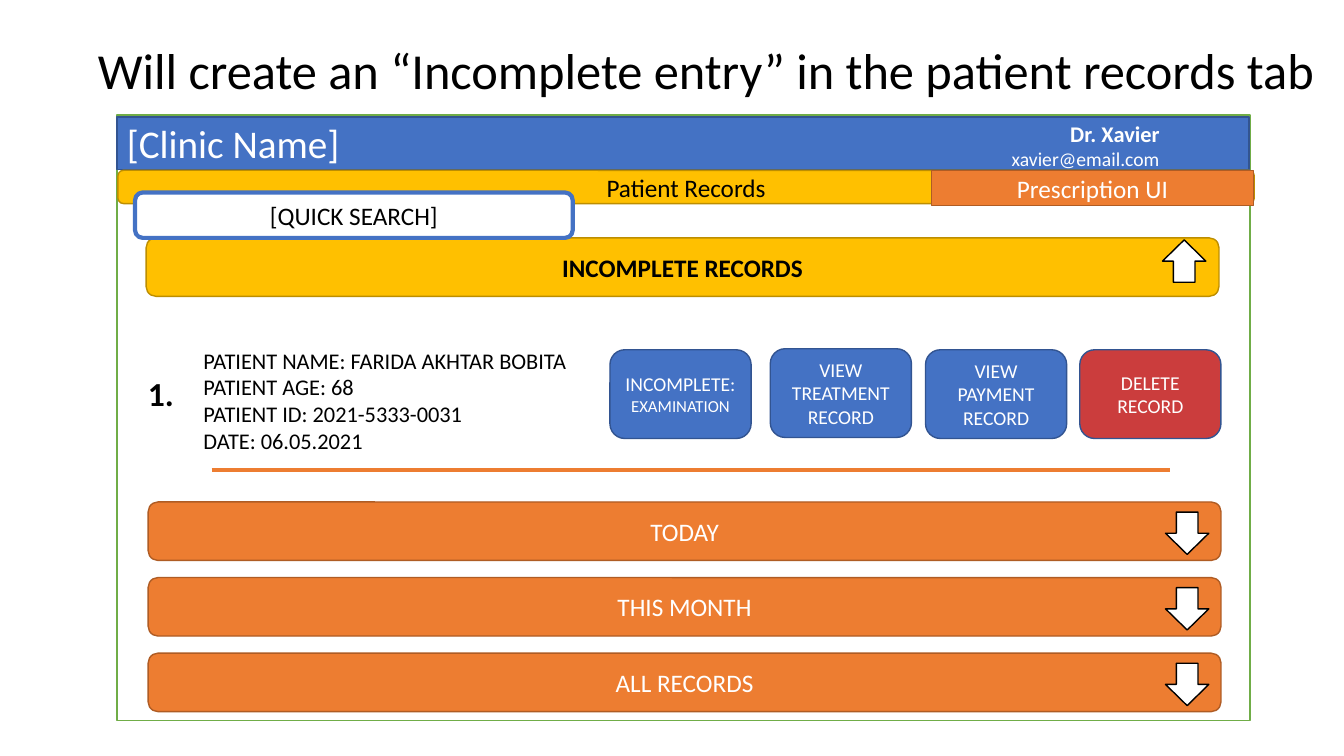
from lxml import etree
from pptx import Presentation
from pptx.dml.color import RGBColor
from pptx.enum.shapes import MSO_CONNECTOR, MSO_SHAPE
from pptx.enum.text import MSO_ANCHOR, MSO_AUTO_SIZE, PP_ALIGN
from pptx.oxml.ns import qn
from pptx.util import Emu, Pt

RECT, ROUND, ARROW = MSO_SHAPE.RECTANGLE, MSO_SHAPE.ROUNDED_RECTANGLE, MSO_SHAPE.DOWN_ARROW
STRAIGHT = MSO_CONNECTOR.STRAIGHT
TOP, MIDDLE = MSO_ANCHOR.TOP, MSO_ANCHOR.MIDDLE
FIXED = MSO_AUTO_SIZE.NONE
LEFT, CENTER, RIGHT = PP_ALIGN.LEFT, PP_ALIGN.CENTER, PP_ALIGN.RIGHT

EMU_PER_PX = 9144  # 100 px to the inch
FONT = "Calibri"
WHITE, BLACK = "FFFFFF", "000000"
BLUE, DARK_BLUE = "4472C4", "325491"
ORANGE, DARK_ORANGE = "ED7D31", "AF5C24"
YELLOW, DARK_YELLOW = "FFC000", "BD8E00"
GREEN, RED = "70AD47", "CB3D3D"


def px(length):
    return Emu(length * EMU_PER_PX)


def color(value):
    return RGBColor.from_string(value)


def style(font, size, ink, bold=False):
    font.name = FONT
    font.size = Pt(size)
    font.bold = bold
    font.color.rgb = color(ink)


def write(frame, text, size, ink, align=CENTER, anchor=MIDDLE, bold=False):
    """Fill a frame, one paragraph for each line of the text."""
    frame.word_wrap = True
    frame.auto_size = FIXED
    frame.vertical_anchor = anchor
    frame.text = text
    for para in frame.paragraphs:
        para.alignment = align
        for span in para.runs:
            style(span.font, size, ink, bold)


def add_box(page, kind, bounds, fill, line=None, line_width=1):
    box = page.shapes.add_shape(kind, *map(px, bounds))
    box.shadow.inherit = False
    box.fill.solid()
    box.fill.fore_color.rgb = color(fill)
    if line:
        box.line.color.rgb = color(line)
        box.line.width = Pt(line_width)
    else:
        box.line.fill.background()
    return box


def add_label(page, bounds, text, size, ink, align=LEFT):
    label = page.shapes.add_textbox(*map(px, bounds))
    write(label.text_frame, text, size, ink, align, TOP)
    return label


def add_bar(page, bounds, text, fill, line, ink, bold=False):
    bar = add_box(page, ROUND, bounds, fill, line)
    write(bar.text_frame, text, 18, ink, bold=bold)


def add_button(page, left, top, text, fill=BLUE):
    button = add_box(page, ROUND, (left, top, 140, 88), fill, DARK_BLUE)
    write(button.text_frame, text, 14, WHITE)
    return button


def add_arrow(page, left, top, rotation=0):
    arrow = add_box(page, ARROW, (left, top, 43, 42), WHITE, BLACK)
    arrow.rotation = rotation


def add_divider(page, left, right, top):
    divider = page.shapes.add_connector(STRAIGHT, px(left), px(top), px(right), px(top))
    divider.line.color.rgb = color(ORANGE)
    divider.line.width = Pt(3)
    etree.SubElement(divider._element.spPr, qn("a:effectLst"))


def add_title(page, text):
    title = page.shapes.title
    title.left, title.top, title.width, title.height = map(px, (87, 0, 1246, 145))
    write(title.text_frame, text, 36, BLACK, LEFT)
    title.text_frame.paragraphs[0].line_spacing = 0.9


def add_header(page):
    banner = add_box(page, RECT, (116, 116, 1123, 52), BLUE, DARK_BLUE)
    write(banner.text_frame, "[Clinic Name]", 28, WHITE, LEFT)
    doctor = add_label(page, (957, 114, 203, 61), "Dr. Xavier\nxavier@email.com", 14, WHITE, RIGHT)
    style(doctor.text_frame.paragraphs[0].runs[0].font, 16, WHITE, True)

    # Tabs and search field
    add_bar(page, (117, 169, 1127, 33), "Patient Records", YELLOW, DARK_YELLOW, BLACK)
    tab = add_box(page, RECT, (924, 169, 319, 35), ORANGE, DARK_ORANGE)
    write(tab.text_frame, "Prescription UI", 18, WHITE)


def add_record(page):
    number = add_box(page, ROUND, (134, 362, 68, 56), WHITE)
    write(number.text_frame, "1.", 24, BLACK, LEFT, bold=True)
    details = ("PATIENT NAME: FARIDA AKHTAR BOBITA\nPATIENT AGE: 68\n"
               "PATIENT ID: 2021-5333-0031\nDATE: 06.05.2021")
    add_label(page, (192, 339, 464, 118), details, 16, BLACK)

    # Action buttons
    status = add_button(page, 605, 347, "INCOMPLETE: ")
    stage = status.text_frame.paragraphs[0].add_run()
    stage.text = "EXAMINATION"
    style(stage.font, 12, WHITE)
    add_button(page, 764, 346, "VIEW TREATMENT RECORD")
    add_button(page, 918, 347, "VIEW PAYMENT RECORD")
    add_button(page, 1071, 347, "DELETE RECORD", RED)
    add_divider(page, 210, 1160, 466)


def main():
    deck = Presentation()
    deck.slide_width, deck.slide_height = px(1333), px(750)
    page = deck.slides.add_slide(deck.slide_layouts[5])
    add_title(page, "Will create an “Incomplete entry” in the patient records tab")

    # Window frame and header
    add_box(page, RECT, (116, 114, 1124, 601), WHITE, GREEN)
    add_header(page)

    # Open section with its record
    add_bar(page, (145, 236, 1064, 58), "INCOMPLETE RECORDS", YELLOW, DARK_YELLOW, BLACK, True)
    add_arrow(page, 1153, 238, 180)
    add_record(page)

    # Closed sections
    for index, section in enumerate(("TODAY", "THIS MONTH", "ALL RECORDS")):
        top = 498 + 75 * index
        add_bar(page, (147, top, 1064, 58), section, ORANGE, DARK_ORANGE, WHITE)
        add_arrow(page, 1156, top + 10)

    # Search field overlapping the tabs
    search = add_box(page, ROUND, (134, 191, 434, 45), WHITE, BLUE, 3)
    write(search.text_frame, "[QUICK SEARCH]", 18, BLACK)

    deck.save("out.pptx")


if __name__ == "__main__":
    main()
